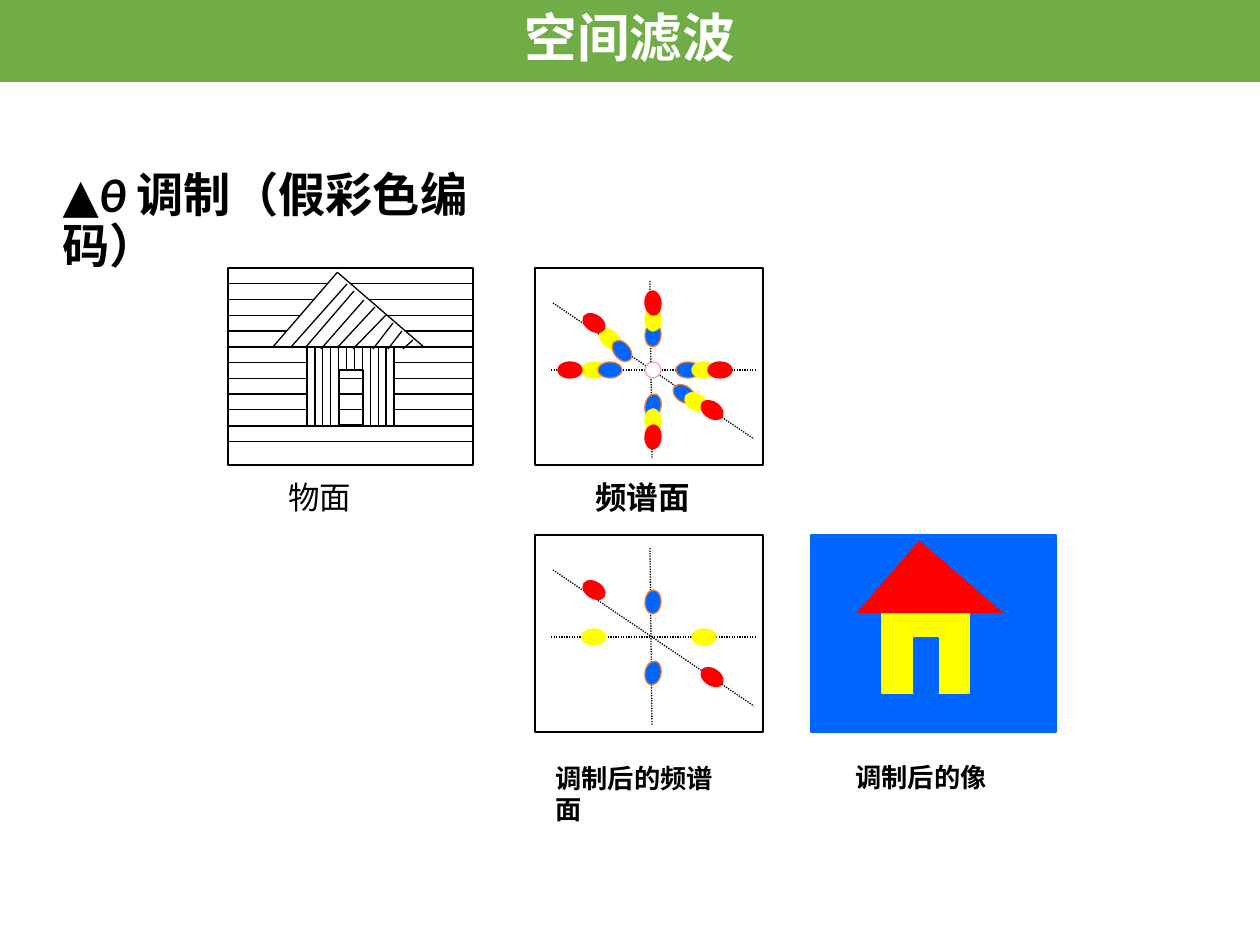
from dataclasses import dataclass

from lxml import etree
from pptx import Presentation
from pptx.dml.color import RGBColor
from pptx.enum.dml import MSO_LINE
from pptx.enum.shapes import MSO_CONNECTOR, MSO_SHAPE
from pptx.enum.text import MSO_ANCHOR, MSO_AUTO_SIZE, PP_ALIGN
from pptx.oxml.ns import qn
from pptx.util import Pt

RECTANGLE, ELLIPSE = MSO_SHAPE.RECTANGLE, MSO_SHAPE.OVAL
STRAIGHT, DOTTED = MSO_CONNECTOR.STRAIGHT, MSO_LINE.ROUND_DOT
LEFT, CENTER, MIDDLE = PP_ALIGN.LEFT, PP_ALIGN.CENTER, MSO_ANCHOR.MIDDLE
NO_FIT = MSO_AUTO_SIZE.NONE
EMU_PER_PX = 914400 / 126


@dataclass(frozen=True)
class Theme:
    black: str = "000000"
    white: str = "FFFFFF"
    green: str = "70AD47"
    blue: str = "0066FF"
    yellow: str = "FFFF00"
    red: str = "FF0000"
    orange: str = "ED7D31"
    pink: str = "FF99CC"
    heading_font: str = "Calibri"
    label_font: str = "Times New Roman"
    banner_size: int = 30
    heading_size: int = 27
    label_size: int = 18
    small_size: int = 15
    line_width: float = 0.75


THEME = Theme()
PAGE = (1260, 945)
BANNER = ("空间滤波", (0, 0, 1260, 82))
HEADING = ([("▲", False), ("θ ", True), ("调制（假彩色编码）", False)], (50, 188, 523, 70))

SCENE_SIZE = (245, 197)
OBJECT_ORIGIN, IMAGE_ORIGIN = (228, 268), (811, 535)
OBJECT_PARTS = {"roof": (63, 31, 118, 98), "mask": (0, 79, 245, 79),
                "house": (79, 79, 87, 79), "door": (111, 102, 24, 55)}
IMAGE_PARTS = {"roof": (62, 33, 118, 98), "mask": (16, 79, 205, 87),
               "house": (71, 79, 87, 79), "door": (103, 103, 24, 55)}
ROOF_ANGLE = 40.8
ROW_GAP = 15.75
BACK_ROWS, FRONT_ROWS, DOOR_ROWS = (1, 2, 3, 4, 10, 11), (5, 6, 7, 8, 9), (7, 8, 9)
WALL_BARS, DOOR_BARS = range(1, 11), range(4, 8)
ROOF_HATCH = [(119, 16, 63, 79), (126, 23, 77, 80), (136, 32, 93, 81), (147, 39, 109, 80),
              (158, 47, 125, 81), (165, 55, 145, 81), (174, 63, 160, 81), (185, 72, 175, 81)]

SPECTRUM_SIZE = (228, 197)
SPECTRUM_ORIGIN, FILTERED_ORIGIN = (535, 268), (535, 535)
AXES = [(16, 102, 221, 102), (115, 13, 117, 191), (18, 35, 219, 171)]
SPOT_SIZE = (24, 16)
SPOTS = [
    ("blue", 153, 102, 0, False), ("yellow", 169, 102, 0, True),
    ("yellow", 75, 71, 43.5, False), ("yellow", 59, 102, 0, True),
    ("blue", 75, 102, 0, False), ("blue", 118, 67, 93.4, True),
    ("blue", 118, 138, 100.7, True), ("blue", 87, 83, 231.1, False),
    ("blue", 149, 126, 214.9, False), ("yellow", 161, 134, 210.2, False),
    ("yellow", 118, 51, 88.6, False), ("yellow", 118, 153, 88.7, False),
    ("red", 59, 55, 213.1, True), ("red", 177, 142, 213.3, True),
    ("red", 118, 169, 92.3, False), ("red", 118, 35, 85.3, False),
    ("red", 185, 102, 0, False), ("red", 35, 102, 0, False),
]
CENTER_SPOT = (110, 94, 16, 16)

OBJECT_LABEL = ("物面", (276, 472, 142, 50), THEME.label_size, False)
SPECTRUM_LABEL = ("频谱面", (583, 472, 205, 50), THEME.label_size, True)
FILTERED_LABEL = ("调制后的频谱面", (543, 756, 205, 77), THEME.small_size, True)
IMAGE_LABEL = ("调制后的像", (843, 755, 205, 44), THEME.small_size, True)


def emu(*lengths):
    return [round(length * EMU_PER_PX) for length in lengths]


def color(name):
    return RGBColor.from_string(name)


def set_font(paragraph, name, size, tint, bold):
    font = paragraph.font
    font.name, font.size, font.bold = name, Pt(size), bold
    font.color.rgb = color(tint)


class Panel:
    def __init__(self, page, origin):
        self.shapes = page.shapes.add_group_shape().shapes
        self.left, self.top = origin

    def shape(self, kind, frame, fill, outline, angle=0):
        left, top, width, height = frame
        shape = self.shapes.add_shape(
            kind, *emu(self.left + left, self.top + top, width, height))
        shape.shadow.inherit = False
        shape.fill.solid()
        shape.fill.fore_color.rgb = color(fill)
        shape.line.color.rgb = color(outline)
        shape.line.width = Pt(THEME.line_width)
        shape.rotation = angle

    def line(self, x1, y1, x2, y2, dash=None):
        line = self.shapes.add_connector(STRAIGHT, *emu(
            self.left + x1, self.top + y1, self.left + x2, self.top + y2))
        line.line.color.rgb = color(THEME.black)
        line.line.width = Pt(THEME.line_width)
        if dash:
            line.line.dash_style = dash
        etree.SubElement(line._element.spPr, qn("a:effectLst"))

    def label(self, text, frame, size, bold):
        box = self.shapes.add_textbox(*emu(*frame))
        box.text_frame.word_wrap = True
        paragraph = box.text_frame.paragraphs[0]
        paragraph.text = text
        set_font(paragraph, THEME.label_font, size, THEME.black, bold)


def add_object(page):
    panel = Panel(page, OBJECT_ORIGIN)
    width, height = SCENE_SIZE

    def outlined(frame, angle=0):
        panel.shape(RECTANGLE, frame, THEME.white, THEME.black, angle)

    def rows(numbers, left, right):
        for number in numbers:
            panel.line(left, number * ROW_GAP, right, number * ROW_GAP)

    outlined((0, 0, width, height))
    rows(BACK_ROWS, 0, width)
    outlined(OBJECT_PARTS["roof"], ROOF_ANGLE)
    outlined(OBJECT_PARTS["mask"])
    rows(FRONT_ROWS, 0, width)
    outlined(OBJECT_PARTS["house"])
    outlined(OBJECT_PARTS["door"])
    for hatch in ROOF_HATCH:
        panel.line(*hatch)
    house_left, house_top, house_width, house_height = OBJECT_PARTS["house"]
    door_left, door_top, door_width, _ = OBJECT_PARTS["door"]
    for number in WALL_BARS:
        x = house_left + number * house_width / (len(WALL_BARS) + 1)
        bottom = door_top if number in DOOR_BARS else house_top + house_height
        panel.line(x, house_top, x, bottom)
    rows(DOOR_ROWS, door_left, door_left + door_width)
    panel.label(*OBJECT_LABEL)


def add_image(page):
    panel = Panel(page, IMAGE_ORIGIN)
    panel.shape(RECTANGLE, (0, 0, *SCENE_SIZE), THEME.blue, THEME.blue)
    tints = {"roof": THEME.red, "mask": THEME.blue, "house": THEME.yellow, "door": THEME.blue}
    for part, frame in IMAGE_PARTS.items():
        angle = ROOF_ANGLE if part == "roof" else 0
        panel.shape(RECTANGLE, frame, tints[part], tints[part], angle)
    panel.label(*IMAGE_LABEL)


def add_spectrum(page, origin, label, filtered):
    panel = Panel(page, origin)
    panel.shape(RECTANGLE, (0, 0, *SPECTRUM_SIZE), THEME.white, THEME.black)
    for axis in AXES:
        panel.line(*axis, dash=DOTTED)
    width, height = SPOT_SIZE
    for name, x, y, angle, passes in SPOTS:
        if passes or not filtered:
            fill = getattr(THEME, name)
            outline = THEME.orange if name == "blue" else fill
            panel.shape(ELLIPSE, (x - width / 2, y - height / 2, width, height),
                        fill, outline, angle)
    if not filtered:
        panel.shape(ELLIPSE, CENTER_SPOT, THEME.white, THEME.pink)
    panel.label(*label)


def add_heading(page):
    spans, frame = HEADING
    title = page.shapes.title
    title.left, title.top, title.width, title.height = emu(*frame)
    title.text_frame.word_wrap = True
    title.text_frame.auto_size = NO_FIT
    title.text_frame.vertical_anchor = MIDDLE
    paragraph = title.text_frame.paragraphs[0]
    paragraph.alignment, paragraph.line_spacing = LEFT, 0.9
    set_font(paragraph, THEME.heading_font, THEME.heading_size, THEME.black, True)
    for text, italic in spans:
        span = paragraph.add_run()
        span.text, span.font.italic = text, italic


def add_banner(page):
    text, frame = BANNER
    banner = page.shapes.add_shape(RECTANGLE, *emu(*frame))
    banner.shadow.inherit = False
    banner.fill.solid()
    banner.fill.fore_color.rgb = color(THEME.green)
    banner.line.fill.background()
    banner.text_frame.vertical_anchor = MIDDLE
    paragraph = banner.text_frame.paragraphs[0]
    paragraph.text = text
    paragraph.alignment, paragraph.line_spacing = CENTER, 0.9
    set_font(paragraph, THEME.heading_font, THEME.banner_size, THEME.white, True)


def main():
    deck = Presentation()
    deck.slide_width, deck.slide_height = emu(*PAGE)
    page = deck.slides.add_slide(deck.slide_layouts[5])
    add_heading(page)
    add_object(page)
    add_image(page)
    add_spectrum(page, FILTERED_ORIGIN, FILTERED_LABEL, True)
    add_spectrum(page, SPECTRUM_ORIGIN, SPECTRUM_LABEL, False)
    add_banner(page)
    deck.save("out.pptx")


if __name__ == "__main__":
    main()
